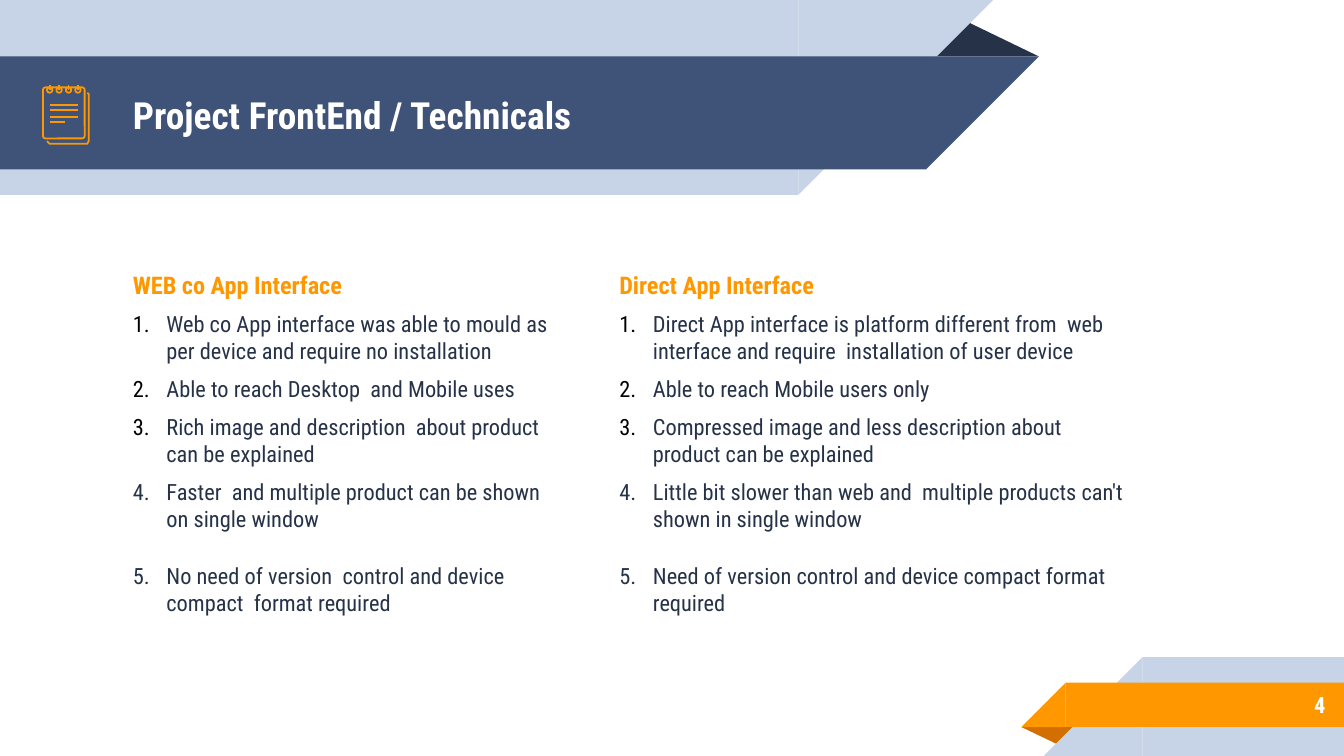
"""Build a slide that compares two app interfaces in two numbered columns."""
from dataclasses import dataclass

from lxml.etree import SubElement
from pptx import Presentation
from pptx.dml.color import RGBColor
from pptx.enum.shapes import MSO_CONNECTOR as Link, MSO_SHAPE as Kind
from pptx.enum.text import MSO_ANCHOR as Anchor, PP_ALIGN as Align
from pptx.oxml.ns import qn
from pptx.util import Inches, Pt

COLS, ROWS = 1000, 562.5
CELL = Inches(0.01)
FONT = "Roboto Condensed"
NAVY = RGBColor(0x26, 0x32, 0x48)
BLUE = RGBColor(0x3F, 0x53, 0x78)
PALE = RGBColor(0xC7, 0xD3, 0xE6)
AMBER = RGBColor(0xFF, 0x98, 0x00)
RUST = RGBColor(0xD2, 0x6F, 0x00)
WHITE = RGBColor(0xFF, 0xFF, 0xFF)
BLACK = RGBColor(0x00, 0x00, 0x00)


@dataclass
class Box:
    col: float
    row: float
    wide: float
    high: float

    def size(self) -> list[int]:
        return [round(n * CELL) for n in (self.col, self.row, self.wide, self.high)]


@dataclass
class Band:
    body: Box
    color: RGBColor
    left: bool = False


@dataclass
class Fold:
    box: Box
    color: RGBColor
    turn: int


@dataclass
class Panel:
    box: Box
    head: str
    items: list[str]


TOP = [Band(Box(0, 0, 594, 145), PALE), Band(Box(0, 42, 689, 84), BLUE)]
FOOT = [
    Band(Box(850, 489, 150, 73.5), PALE, True),
    Band(Box(793, 508, 207, 33), AMBER, True),
]
TOP_FOLD = Fold(Box(688, 14, 85, 28), NAVY, 0)
FOOT_FOLD = Fold(Box(760, 541, 43, 14), RUST, 180)
PANELS = [
    Panel(Box(451, 191, 400, 294), "Direct App Interface", [
        "Direct App interface is platform different from  web interface "
        "and require  installation of user device",
        "Able to reach Mobile users only",
        "Compressed image and less description about product can be explained",
        "Little bit slower than web and  multiple products can't shown in single window",
        "Need of version control and device compact format required",
    ]),
    Panel(Box(89, 191, 337, 192), "WEB co App Interface", [
        "Web co App interface was able to mould as per device "
        "and require no installation",
        "Able to reach Desktop  and Mobile uses",
        "Rich image and description  about product can be explained",
        "Faster  and multiple product can be shown on single window",
        "No need of version  control and device compact  format required",
    ]),
]
AUTO = 3


def solid(shapes, kind: Kind, box: Box, color: RGBColor, turn: int = 0):
    part = shapes.add_shape(kind, *box.size())
    part.shadow.inherit = False
    part.fill.solid()
    part.fill.fore_color.rgb = color
    part.line.fill.background()
    part.rotation = turn
    return part


def draw_band(shapes, band: Band) -> None:
    body = band.body
    side = body.high
    col = body.col - side if band.left else body.col + body.wide
    solid(shapes, Kind.RECTANGLE, body, band.color)
    tip = Box(col, body.row, side, side)
    solid(shapes, Kind.RIGHT_TRIANGLE, tip, band.color, 270 if band.left else 90)


def draw_fold(shapes, fold: Fold) -> None:
    part = solid(shapes, Kind.ISOSCELES_TRIANGLE, fold.box, fold.color, fold.turn)
    part.adjustments[0] = 0.32


def trace(part) -> None:
    part.shadow.inherit = False
    part.fill.background()
    part.line.color.rgb = AMBER
    part.line.width = Pt(0.96)


def stroke(shapes, col: int, row: int, wide: int, high: int) -> None:
    ends = [n * CELL for n in (col, row, col + wide, row + high)]
    line = shapes.add_connector(Link.STRAIGHT, *ends)
    line.line.color.rgb = AMBER
    line.line.width = Pt(0.96)
    SubElement(line._element.spPr, qn("a:effectLst"))


def draw_pad(shapes) -> None:
    pen = shapes.build_freeform(35, 105, scale=CELL)
    pen.add_line_segments([(37, 107), (65, 107), (66, 105), (66, 70), (65, 69)], close=False)
    trace(pen.convert_to_shape())
    page = shapes.add_shape(Kind.ROUNDED_RECTANGLE, *Box(32, 65, 31, 38).size())
    page.adjustments[0] = 0.06
    trace(page)
    for col in range(37, 59, 7):
        trace(shapes.add_shape(Kind.OVAL, *Box(col - 2, 65, 4, 4).size()))
        stroke(shapes, col, 63, 0, 4)
    for row, wide in ((78, 21), (82, 21), (87, 21), (91, 11)):
        stroke(shapes, 37, row, wide, 0)


def frame(shapes, box: Box, anchor: Anchor = Anchor.TOP):
    text = shapes.add_textbox(*box.size()).text_frame
    text.word_wrap = True
    text.vertical_anchor = anchor
    text.margin_left = text.margin_right = Inches(0.1)
    text.margin_top = text.margin_bottom = Inches(0.1)
    return text


def style(para, size: int, color: RGBColor, bold: bool = True) -> None:
    for run in para.runs:
        run.font.name = FONT
        run.font.size = Pt(size)
        run.font.bold = bold
        run.font.color.rgb = color


def label(shapes, box: Box, words: str, size: int, align: Align) -> None:
    text = frame(shapes, box, Anchor.MIDDLE)
    text.text = words
    text.paragraphs[0].alignment = align
    style(text.paragraphs[0], size, WHITE)


def indent(para, auto: bool) -> None:
    props = para._p.get_or_add_pPr()
    props.set("marL", str(Inches(0.25)))
    props.set("indent", str(-Inches(0.25)))
    if auto:
        tint = SubElement(props, qn("a:buClr"))
        SubElement(tint, qn("a:srgbClr"), val=str(BLACK))
        SubElement(props, qn("a:buAutoNum"), type="arabicPeriod")


def draw_panel(shapes, panel: Panel) -> None:
    text = frame(shapes, panel.box)
    text.text = panel.head
    head = text.paragraphs[0]
    head.space_before = Pt(6)
    style(head, 13, AMBER)
    for rank, item in enumerate(panel.items, 1):
        auto = rank <= AUTO
        para = text.add_paragraph()
        para.text = item if auto else f"{rank}.\t{item}"
        para.space_before = Pt(6)
        para.space_after = Pt(0 if auto else 10)
        indent(para, auto)
        style(para, 12, NAVY, False)


def main() -> None:
    deck = Presentation()
    deck.slide_width, deck.slide_height = COLS * CELL, round(ROWS * CELL)
    shapes = deck.slides.add_slide(deck.slide_layouts[6]).shapes
    for fold, bands in ((TOP_FOLD, TOP), (FOOT_FOLD, FOOT)):
        draw_fold(shapes, fold)
        for band in bands:
            draw_band(shapes, band)
    label(shapes, Box(89, 43, 575, 84), "Project FrontEnd / Technicals", 20, Align.LEFT)
    label(shapes, Box(833, 507, 163, 35), "4", 12, Align.RIGHT)
    for panel in PANELS:
        draw_panel(shapes, panel)
    draw_pad(shapes)
    deck.save("out.pptx")


if __name__ == "__main__":
    main()
